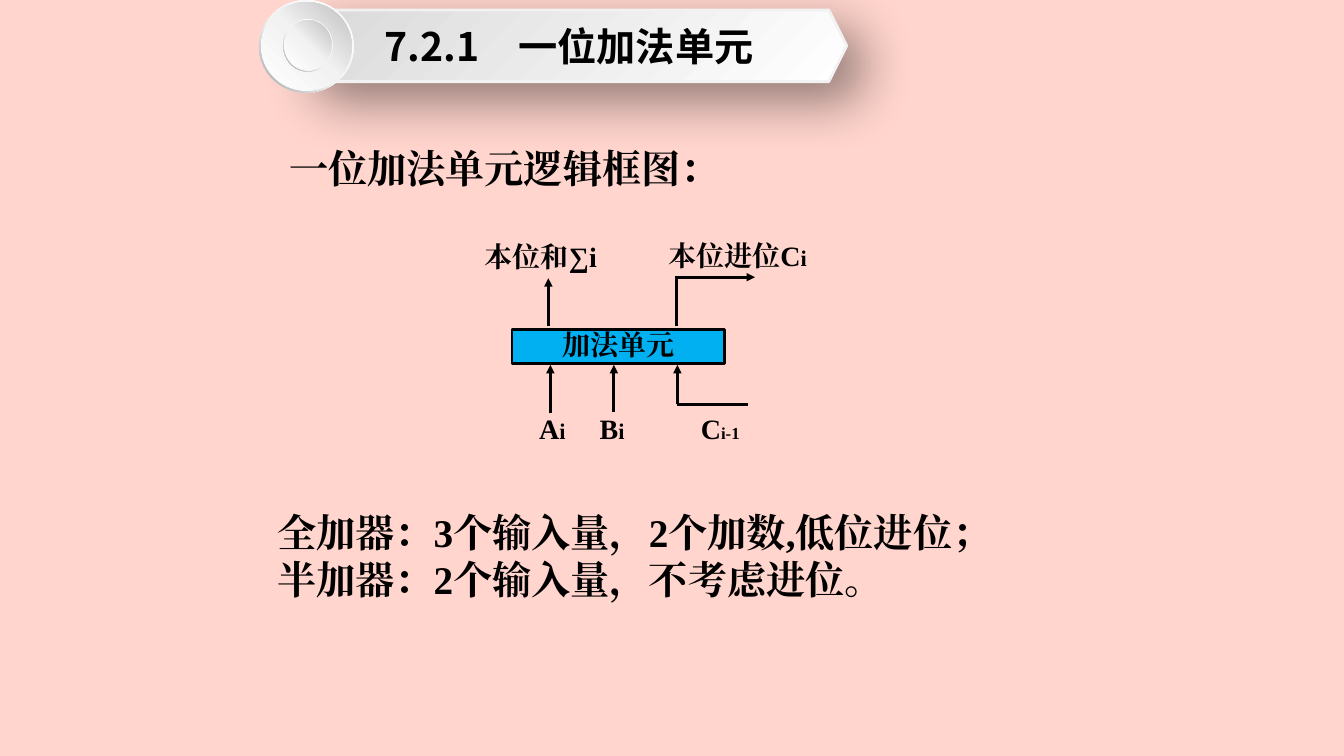
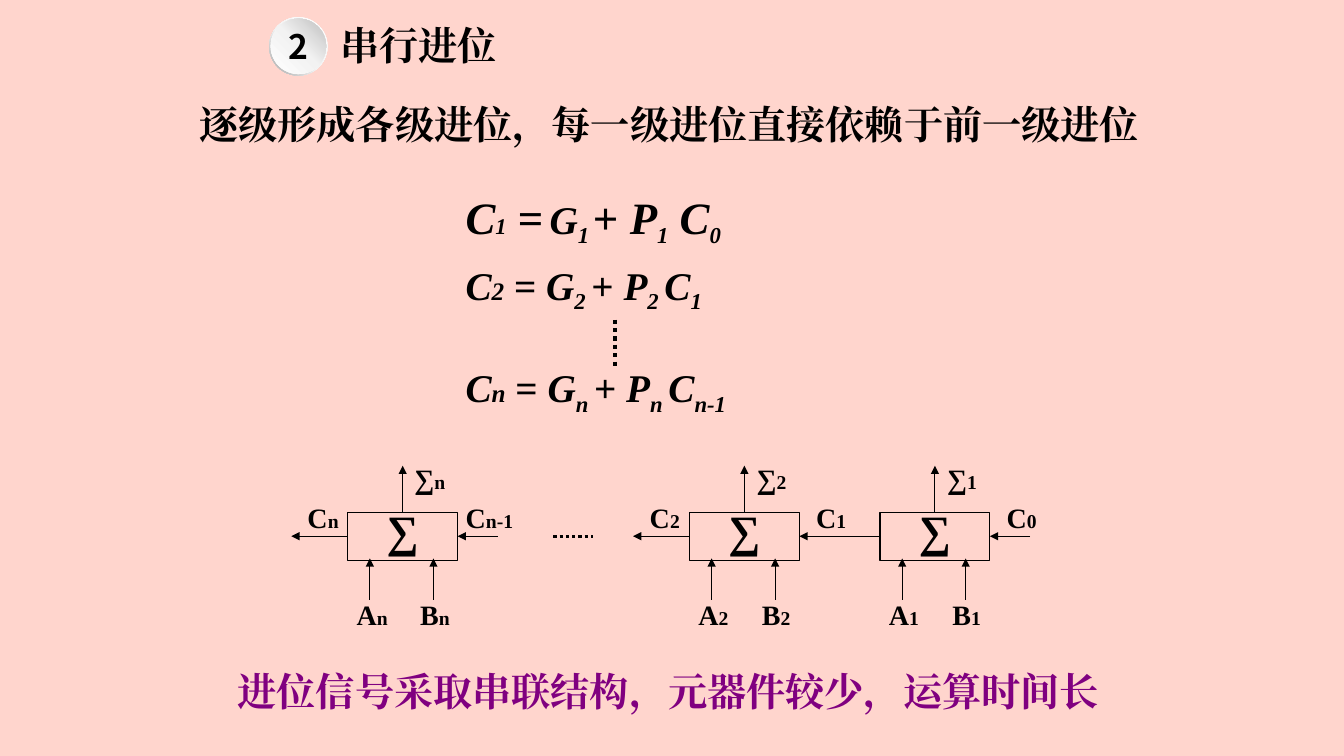
from lxml.etree import SubElement
from pptx import Presentation
from pptx.dml.color import RGBColor
from pptx.enum.dml import MSO_LINE
from pptx.enum.shapes import MSO_CONNECTOR, MSO_SHAPE
from pptx.enum.text import MSO_ANCHOR, PP_ALIGN
from pptx.oxml.ns import qn
from pptx.util import Inches, Pt

CELL = 0.1
COLUMNS, ROWS = 133.33, 75
COLORS = {
    "page": "FFD5CD", "ink": "000000", "adder": "00B0F0", "conclusion": "800080",
    "white": "FFFFFF", "pale": "F2F2F2", "silver": "D9D9D9", "gray": "BFBFBF", "dark": "A6A6A6",
}
SERIF, SANS = "Times New Roman", "Noto Sans CJK SC"
BODY, LABEL = 28, 20
TOP, LEFT, BOTTOM, RIGHT = range(4)
RIM = [(0, "white"), (55, "pale"), (100, "dark")]
FACE = [(0, "white"), (51, "pale"), (100, "gray")]


def grid(*cells):
    """Turn grid cells into lengths."""
    return [Inches(cell * CELL) for cell in cells]


def rgb(name):
    """Look up a named colour."""
    return RGBColor.from_string(COLORS[name])


def add_span(para, text, size, color="ink", font=SERIF, italic=False, lowered=False):
    """Add one bold run to a paragraph."""
    span = para.add_run()
    span.text = text
    span.font.size, span.font.bold, span.font.italic = Pt(size), True, italic
    span.font.name = font
    span.font.color.rgb = rgb(color)
    properties = span.font._element
    SubElement(properties, qn("a:ea")).set("typeface", font)
    if lowered:
        properties.set("baseline", "-25000")


def write(shape, paragraphs, align=PP_ALIGN.LEFT, spacing=1.0, anchor=MSO_ANCHOR.TOP, **style):
    """Fill a shape with paragraphs, each a list of (text, size) runs."""
    frame = shape.text_frame
    frame.word_wrap, frame.vertical_anchor = True, anchor
    for number, runs in enumerate(paragraphs):
        para = frame.add_paragraph() if number else frame.paragraphs[0]
        para.alignment, para.line_spacing = align, spacing
        for text, size in runs:
            add_span(para, text, size, **style)


def add_body(page, box, lines, color="ink"):
    """Place a block of body text."""
    write(page.shapes.add_textbox(*grid(*box)), [[(line, BODY)] for line in lines], color=color)


def add_label(page, box, name, index, index_size, align=PP_ALIGN.CENTER):
    """Place a signal name with its small index."""
    write(page.shapes.add_textbox(*grid(*box)), [[(name, LABEL), (index, index_size)]], align, 0.7)


def add_shape(page, kind, box, line=None, width=1):
    """Add a preset shape without shadow or fill."""
    shape = page.shapes.add_shape(kind, *grid(*box))
    shape.shadow.inherit = False
    shape.fill.background()
    if line:
        shape.line.color.rgb, shape.line.width = rgb(line), Pt(width)
    else:
        shape.line.fill.background()
    return shape


def shade(shape, stops, angle):
    """Give a shape a linear gradient."""
    shape.fill.gradient()
    gradient = shape._element.spPr.find(qn("a:gradFill"))
    for child in list(gradient):
        gradient.remove(child)
    stop_list = SubElement(gradient, qn("a:gsLst"))
    for position, name in stops:
        stop = SubElement(stop_list, qn("a:gs"), pos=str(position * 1000))
        SubElement(stop, qn("a:srgbClr"), val=COLORS[name])
    SubElement(gradient, qn("a:lin"), ang=str(angle * 60000), scaled="0")


def cast_shadow(shape):
    """Give a shape a soft diagonal shadow."""
    effects = shape._element.spPr.find(qn("a:effectLst"))
    shadow = SubElement(effects, qn("a:outerShdw"), blurRad=str(Pt(38)), dist=str(Pt(19)),
                        dir=str(45 * 60000), algn="tl", rotWithShape="0")
    color = SubElement(shadow, qn("a:srgbClr"), val=COLORS["ink"])
    SubElement(color, qn("a:alpha"), val="42000")


def add_line(page, start, end, width, arrow=True, dotted=False, source=None, target=None):
    """Draw a straight line, optionally joined to (shape, side) pairs."""
    line = page.shapes.add_connector(MSO_CONNECTOR.STRAIGHT, *grid(*start, *end))
    line.line.color.rgb, line.line.width = rgb("ink"), Pt(width)
    if dotted:
        line.line.dash_style = MSO_LINE.ROUND_DOT
    if arrow:
        SubElement(line.line._get_or_add_ln(), qn("a:tailEnd"), type="triangle")
    SubElement(line._element.spPr, qn("a:effectLst"))
    if source:
        line.begin_connect(*source)
    if target:
        line.end_connect(*target)


def add_medallion(page, box, inset):
    """Draw a raised disc and return its face."""
    left, top, width, height = box
    rim = add_shape(page, MSO_SHAPE.DONUT, box)
    rim.adjustments[0] = 0.05
    shade(rim, RIM, 135)
    face = add_shape(page, MSO_SHAPE.OVAL,
                     (left + inset, top + inset, width - 2 * inset, height - 2 * inset))
    shade(face, FACE, 315)
    return face


def add_banner(page, left, top, title):
    """Draw the section banner with its double disc."""
    bar = add_shape(page, MSO_SHAPE.HEXAGON, (left + 3.2, top + 1, 55.1, 7.1), "pale", 2)
    shade(bar, [(0, "white"), (100, "silver")], 225)
    cast_shadow(bar)
    write(bar, [[(title, BODY)]], PP_ALIGN.CENTER, anchor=MSO_ANCHOR.MIDDLE, font=SANS)
    add_medallion(page, (left, top, 9.4, 9.2), 0.2)
    add_medallion(page, (left + 2.4, top + 1.9, 4.9, 5.2), 0.1)


def add_numbered_heading(page, left, top, number, title):
    """Draw a numbered disc followed by a heading."""
    face = add_medallion(page, (left, top, 5.8, 5.8), 0.15)
    frame = face.text_frame
    frame.margin_left = frame.margin_right = frame.margin_top = frame.margin_bottom = 0
    write(face, [[(number, 24)]], PP_ALIGN.CENTER, anchor=MSO_ANCHOR.MIDDLE, font=SANS)
    add_body(page, (left + 6.1, top - 0.1, 29.1, 5.3), [title])


def add_adder(page, left, top):
    """Draw the one-bit adder with its inputs and outputs."""
    unit = add_shape(page, MSO_SHAPE.RECTANGLE, (left, top, 21.1, 3.4), "ink", 2)
    unit.fill.solid()
    unit.fill.fore_color.rgb = rgb("adder")
    unit.text_frame.margin_top = Inches(0.08)
    write(unit, [[("加法单元", LABEL)]], PP_ALIGN.CENTER, 0.7, MSO_ANCHOR.MIDDLE)
    above, below, elbow = top - 0.4, top + 3.5, top + 7.4
    for column, length in ((3.8, 4.8), (10.1, 4.7), (16.4, 3.9)):
        add_line(page, (left + column, below + length), (left + column, below), 2)
    add_line(page, (left + 16.4, elbow), (left + 23.4, elbow), 2, arrow=False)
    add_line(page, (left + 3.6, above), (left + 3.6, top - 5.1), 2)
    add_line(page, (left + 16.3, above), (left + 16.3, top - 5.2), 2, arrow=False)
    add_line(page, (left + 16.2, top - 5.2), (left + 24.1, top - 5.2), 2)
    for column, row, width, name, index, size, align in (
        (1.7, 8.5, 6, "A", "i", 16, PP_ALIGN.LEFT),
        (7.7, 8.5, 6, "B", "i", 16, PP_ALIGN.LEFT),
        (12.4, 8.5, 16.5, "C", "i-1", 12, PP_ALIGN.CENTER),
        (-5.4, -8.5, 16.5, "本位和∑", "i", 20, PP_ALIGN.CENTER),
        (13.1, -8.6, 18.5, "本位进位C", "i", 16, PP_ALIGN.CENTER),
    ):
        add_label(page, (left + column, top + row, width, 3.4), name, index, size, align)


def add_equation(page, left, top, index, previous, size, index_size, gap, space):
    """Write one carry equation."""
    para = page.shapes.add_textbox(*grid(left, top, 37, 6)).text_frame.paragraphs[0]
    for text, points, italic, lowered in (
        ("C", size, True, False), (index, index_size, True, False), (gap, size, True, False),
        ("=", size, False, False), (" ", space, False, False),
        ("G", BODY, True, False), (index, BODY, True, True), (" ", space, False, True),
        ("+ ", size, False, False), ("P", size, True, False), (index, BODY, True, True),
        (" ", size, False, size == BODY), ("C", size, True, False), (previous, BODY, True, True),
    ):
        add_span(para, text, points, italic=italic, lowered=lowered)


def add_stage(page, left, top, index):
    """Draw one adder stage with its sum and operands and return its box."""
    stage = add_shape(page, MSO_SHAPE.RECTANGLE, (left, top, 10.9, 4.8), "ink", 0.75)
    write(stage, [[("∑", 32)]], PP_ALIGN.CENTER, 0.7)
    middle = left + 5.45
    add_line(page, (middle, top), (middle, top - 4.6), 0.75, source=(stage, TOP))
    add_label(page, (left + 3.8, top - 4.6, 8.7, 3.3), "∑", index, 14)
    for number, name in enumerate("AB"):
        column = left + 6.3 * number
        add_line(page, (column + 2.2, top + 8.7), (column + 2.2, top + 4.6), 0.75)
        add_label(page, (column - 0.1, top + 8.9, 6, 3.3), name, index, 14, PP_ALIGN.LEFT)
    return stage


def add_carry(page, start, end, top, label_middle, index, source=None, target=None):
    """Draw a carry arrow with its label."""
    add_line(page, (start, top + 2.4), (end, top + 2.4), 0.75, source=source, target=target)
    add_label(page, (label_middle - 3.95, top - 0.7, 7.9, 3.3), "C", index, 14)


def add_carry_chain(page, left, top):
    """Draw the ripple chain of adder stages."""
    columns = {"n": left + 5.6, "2": left + 39.5, "1": left + 58.4}
    stages = {index: add_stage(page, column, top, index) for index, column in columns.items()}
    for index in "n2":
        column = columns[index]
        add_carry(page, column, column - 5.6, top, column - 2.45, index,
                  source=(stages[index], LEFT))
    for index, carry in (("n", "n-1"), ("1", "0")):
        edge = columns[index] + 10.9
        add_carry(page, edge + 4, edge, top, edge + 3.15, carry, target=(stages[index], RIGHT))
    add_carry(page, columns["1"], columns["2"] + 10.9, top, columns["1"] - 4.85, "1",
              source=(stages["1"], LEFT), target=(stages["2"], RIGHT))
    add_line(page, (left + 26, top + 2.4), (left + 29.9, top + 2.4), 2.25, arrow=False, dotted=True)


def add_page(deck):
    """Add a blank page with the shared background."""
    page = deck.slides.add_slide(deck.slide_layouts[6])
    page.background.fill.solid()
    page.background.fill.fore_color.rgb = rgb("page")
    return page


def build_adder_page(deck):
    """Build the page on the one-bit adder."""
    page = add_page(deck)
    add_adder(page, 50.8, 32.7)
    add_body(page, (26.5, 49.9, 71.9, 15.1),
             ["全加器：3个输入量，2个加数,低位进位；", "半加器：2个输入量，不考虑进位。"])
    add_body(page, (27.7, 13.8, 56.6, 5.3), ["一位加法单元逻辑框图："])
    add_banner(page, 25.7, 0, "7.2.1　一位加法单元")


def build_carry_page(deck):
    """Build the page on serial carry."""
    page = add_page(deck)
    add_numbered_heading(page, 26.7, 1.7, "2", "串行进位")
    add_body(page, (18.8, 9.5, 96.5, 5.3), ["逐级形成各级进位，每一级进位直接依赖于前一级进位"])
    for top, *terms in (
        (18.3, "1", "0", 32, 16, " ", 18),
        (25.4, "2", "1", BODY, 18, " ", BODY),
        (35.6, "n", "n-1", BODY, 18, " ", BODY),
    ):
        add_equation(page, 45.2, top, *terms)
    add_line(page, (61, 31.7), (61, 36.4), 3, arrow=False, dotted=True)
    add_carry_chain(page, 28.9, 50.8)
    add_body(page, (22.6, 65.7, 89, 5.3),
             ["进位信号采取串联结构，元器件较少，运算时间长"], "conclusion")


def main():
    """Build and save the deck."""
    deck = Presentation()
    deck.slide_width, deck.slide_height = grid(COLUMNS, ROWS)
    build_adder_page(deck)
    build_carry_page(deck)
    deck.save("out.pptx")


if __name__ == "__main__":
    main()
